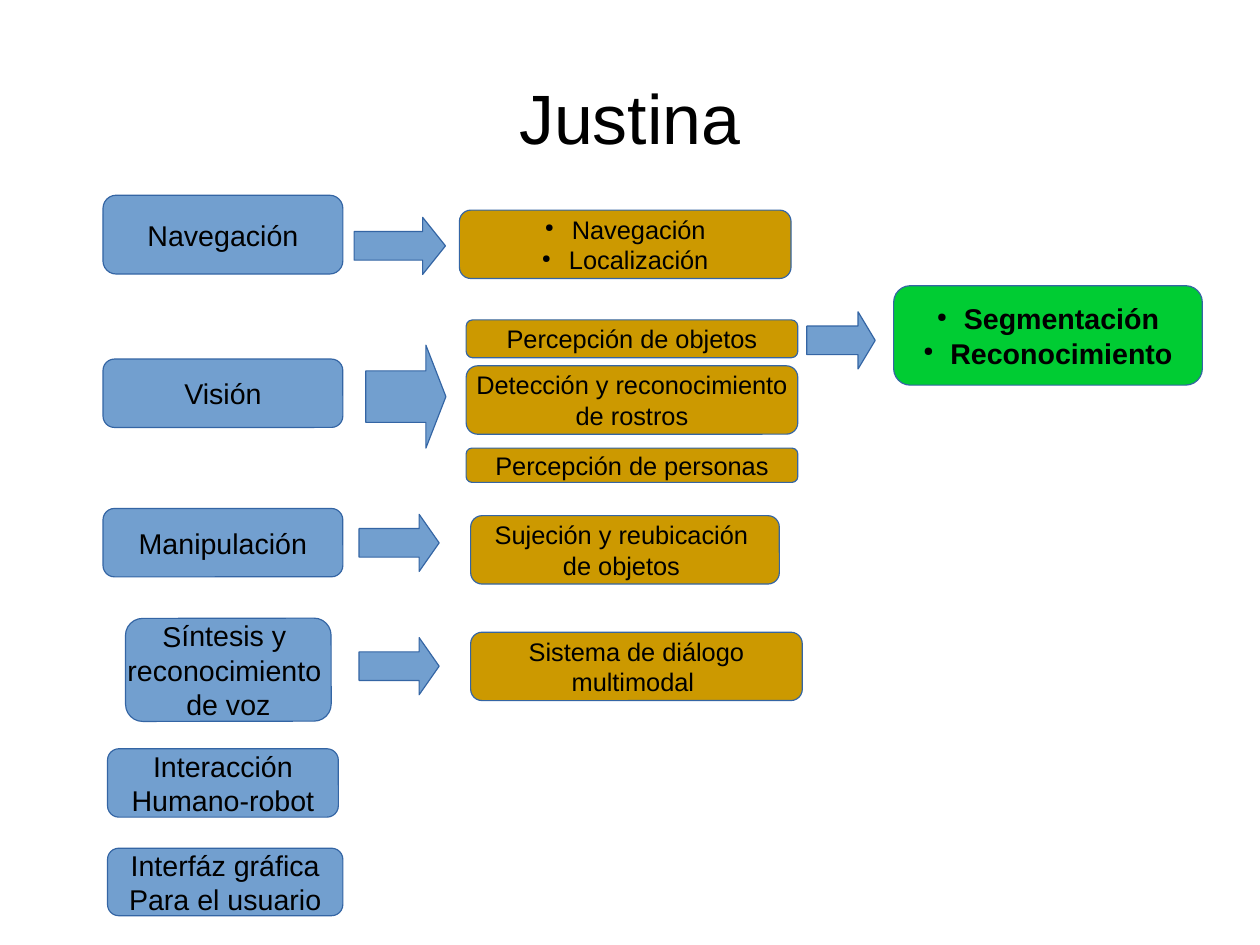
from lxml.etree import SubElement
from pptx import Presentation
from pptx.dml.color import RGBColor
from pptx.enum.shapes import MSO_SHAPE
from pptx.enum.text import MSO_ANCHOR, PP_ALIGN
from pptx.oxml.ns import qn
from pptx.util import Cm, Pt

BLUE, GOLD, GREEN = "729FCF", "CC9900", "00CC33"
EDGE, INK = "3465A4", "000000"

FRAME = {"vertical_anchor": MSO_ANCHOR.MIDDLE, "word_wrap": False}
TITLE = {"vertical_anchor": MSO_ANCHOR.MIDDLE, "word_wrap": True,
         "margin_left": 0, "margin_right": 0,
         "margin_top": 0, "margin_bottom": 0}

MODULES = [
    ("Navegación", 2.29, 4.34, 5.33, 1.75),
    ("Visión", 2.29, 7.98, 5.33, 1.52),
    ("Manipulación", 2.29, 11.3, 5.33, 1.52),
    ("Síntesis y \nreconocimiento \nde voz", 2.79, 13.74, 4.57, 2.29),
    ("Interacción\nHumano-robot", 2.39, 16.64, 5.13, 1.52),
    ("Interfáz gráfica\nPara el usuario", 2.39, 18.85, 5.23, 1.5),
]
TASKS = [
    ("Percepción de objetos", 10.36, 7.11, 7.37, 0.84),
    ("Detección y reconocimiento\nde rostros", 10.36, 8.13, 7.37, 1.52),
    ("Percepción de personas", 10.36, 9.96, 7.37, 0.76),
    ("Sujeción y reubicación \nde objetos ", 10.46, 11.46, 6.86, 1.52),
    ("Sistema de diálogo\nmultimodal ", 10.46, 14.05, 7.37, 1.52),
]
ARROWS = [
    (7.87, 4.83, 2.03, 1.27, 0.4),
    (8.13, 7.67, 1.78, 2.29, 0.25),
    (7.98, 11.43, 1.78, 1.27, 0.35),
    (7.98, 14.17, 1.78, 1.27, 0.35),
    (17.93, 6.93, 1.52, 1.27, 0.3),
]


def color(code):
    return RGBColor.from_string(code)


def apply(item, values):
    for name, value in values.items():
        setattr(item, name, value)


def bullet(para):
    props = para._p.get_or_add_pPr()
    indent = Cm(0.6)
    props.set("marL", str(indent))
    props.set("indent", str(-indent))
    tint = SubElement(props, qn("a:buClr"))
    SubElement(tint, qn("a:srgbClr"), val=INK)
    SubElement(props, qn("a:buSzPct"), val="45000")
    SubElement(props, qn("a:buChar"), char="●")


def write(shape, text, frame, size, bold=False, dots=False):
    body = shape.text_frame
    apply(body, frame)
    body.text = text
    for para in body.paragraphs:
        para.alignment = PP_ALIGN.CENTER
        for run in para.runs:
            apply(run.font, {"name": "Arial", "size": Pt(size), "bold": bold})
            run.font.color.rgb = color(INK)
        if dots:
            bullet(para)


def draw(slide, kind, place, fill):
    shape = slide.shapes.add_shape(kind, *map(Cm, place))
    shape.shadow.inherit = False
    shape.fill.solid()
    shape.fill.fore_color.rgb = color(fill)
    shape.line.color.rgb = color(EDGE)
    shape.line.width = Pt(0)
    return shape


def box(slide, text, place, fill, size, **style):
    shape = draw(slide, MSO_SHAPE.FLOWCHART_ALTERNATE_PROCESS, place, fill)
    write(shape, text, FRAME, size, **style)
    return shape


def arrow(slide, place, head):
    shape = draw(slide, MSO_SHAPE.RIGHT_ARROW, place, BLUE)
    shape.adjustments[1] = head


def title(slide, text):
    shape = slide.shapes.add_textbox(Cm(1.4), Cm(0.84), Cm(25.2), Cm(3.5))
    write(shape, text, TITLE, 44)


def main():
    deck = Presentation()
    apply(deck, {"slide_width": Cm(28), "slide_height": Cm(21)})
    slide = deck.slides.add_slide(deck.slide_layouts[6])
    title(slide, "Justina")
    for text, *place in MODULES:
        shape = box(slide, text, place, BLUE, 18)
        if text.startswith("Síntesis"):
            shape.rotation = 359.9
    box(slide, "Navegación\nLocalización", (10.21, 4.67, 7.37, 1.52),
        GOLD, 16, dots=True)
    for text, *place in TASKS:
        box(slide, text, place, GOLD, 16)
    box(slide, "Segmentación\nReconocimiento", (19.86, 6.35, 6.86, 2.21),
        GREEN, 18, bold=True, dots=True)
    for *place, head in ARROWS:
        arrow(slide, place, head)
    deck.save("out.pptx")


if __name__ == "__main__":
    main()
